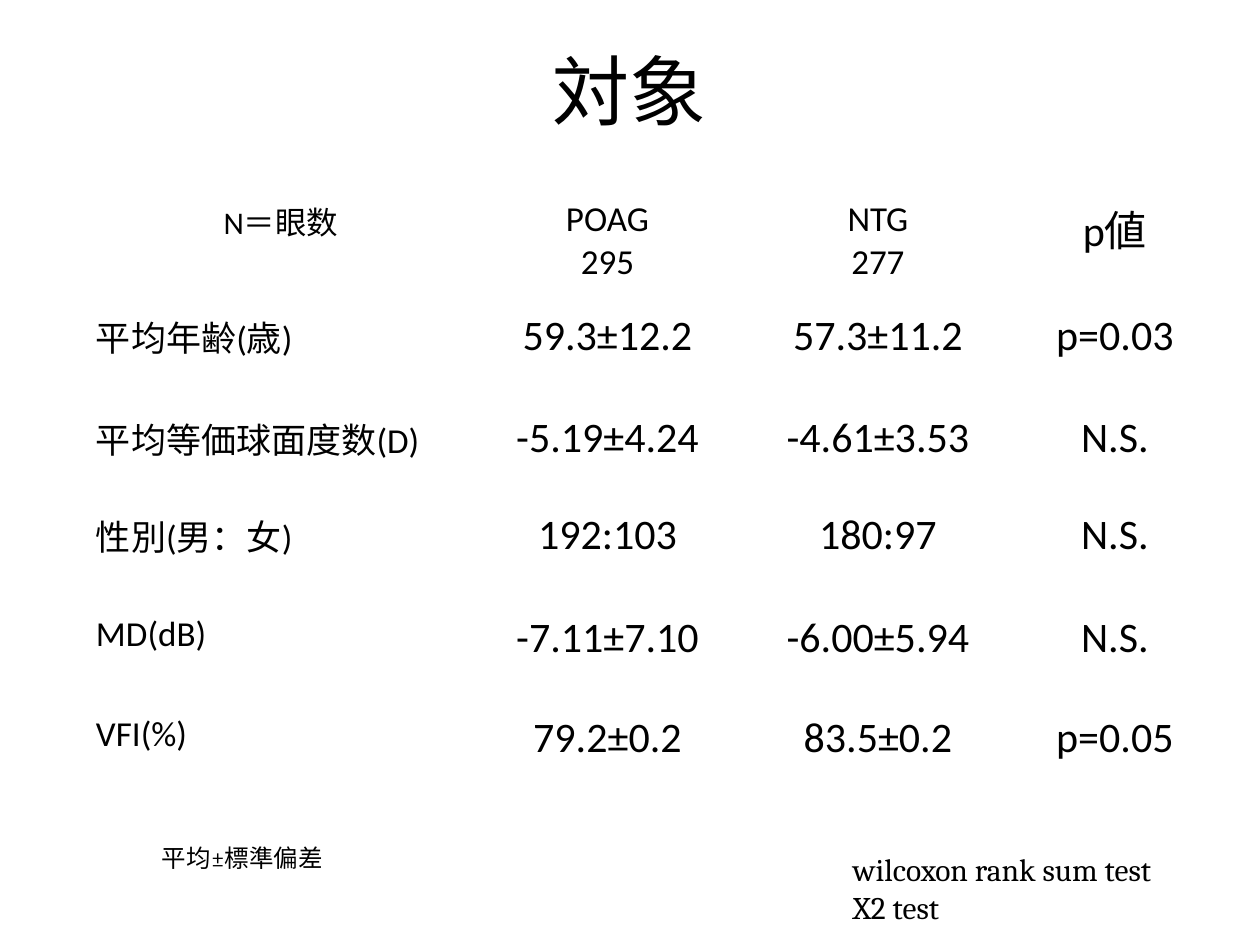
from pptx import Presentation, util as u
from pptx.dml.color import RGBColor
from pptx.enum import text

PX_PER_INCH = 126
BLACK = "000000"
CENTER, LEFT = text.PP_ALIGN.CENTER, text.PP_ALIGN.LEFT


def px(length):
    return u.Emu(round(length * 914400 / PX_PER_INCH))


def color(hex_value):
    return RGBColor.from_string(hex_value)


class Deck:
    """Holds the text style and the current slide."""

    def __init__(self, width, height, ink=BLACK):
        self.presentation = Presentation()
        self.presentation.slide_width = px(width)
        self.presentation.slide_height = px(height)
        self.ink = ink
        self.slide = self.presentation.slides.add_slide(self.presentation.slide_layouts[6])

    def add_lines(self, frame, lines, size, font, align=LEFT, spacing=None):
        for index, line in enumerate(lines):
            paragraph = frame.add_paragraph() if index else frame.paragraphs[0]
            paragraph.alignment = align
            if spacing:
                paragraph.line_spacing = spacing
            run = paragraph.add_run()
            run.text = line
            run.font.name = font
            run.font.size = u.Pt(size)
            run.font.color.rgb = color(self.ink)

    def label(self, box, lines, size, font, inset=6, anchor=text.MSO_ANCHOR.TOP, **style):
        """Add a text box; inset is its top and bottom margin."""
        frame = self.slide.shapes.add_textbox(*map(px, box)).text_frame
        frame.word_wrap = True
        frame.vertical_anchor = anchor
        frame.margin_left = frame.margin_right = px(13)
        frame.margin_top = frame.margin_bottom = px(inset)
        self.add_lines(frame, lines, size, font, **style)

    def table(self, left, top, widths, heights, rows, size_of, font):
        """Add an unfilled table whose text sizes come from size_of(row, column)."""
        grid = self.slide.shapes.add_table(
            len(heights), len(widths), px(left), px(top),
            px(sum(widths)), px(sum(heights))).table
        grid.first_row = grid.horz_banding = False
        for column, width in zip(grid.columns, widths):
            column.width = px(width)
        for r, (height, row) in enumerate(zip(heights, rows)):
            grid.rows[r].height = px(height)
            for c, content in enumerate(row):
                cell = grid.cell(r, c)
                cell.fill.background()
                cell.margin_left = cell.margin_right = px(9)
                cell.margin_top = cell.margin_bottom = px(13)
                align = LEFT if r and not c else CENTER
                self.add_lines(cell.text_frame, content.split("\n"), size_of(r, c), font, align)


HEADER_SIZES = [18, 20, 20, 24]
SUBJECTS = [
    ["N＝眼数", "POAG\n295", "NTG\n277", "p値"],
    ["平均年齢(歳)", "59.3±12.2", "57.3±11.2", "p=0.03"],
    ["平均等価球面度数(D)", "-5.19±4.24", "-4.61±3.53", "N.S."],
    ["性別(男：女)", "192:103", "180:97", "N.S."],
    ["MD(dB)", "-7.11±7.10", "-6.00±5.94", "N.S."],
    ["VFI(%)", "79.2±0.2", "83.5±0.2", "p=0.05"],
]


def subject_size(row, column):
    if row == 0:
        return HEADER_SIZES[column]
    return 24 if column else 20


def main():
    deck = Deck(1260, 945)
    deck.table(87, 185, [388, 265, 276, 198], [113, 102, 97, 103, 100, 91],
               SUBJECTS, subject_size, "Calibri")
    deck.label((840, 837, 408, 72), ["wilcoxon rank sum test", "X2 test"],
               18, "Cambria", inset=13)
    deck.label((149, 837, 263, 50), ["平均±標準偏差"], 14, "Cambria")
    deck.label((87, 4, 1086, 183), ["対象"], 44, "Calibri",
               anchor=text.MSO_ANCHOR.MIDDLE, align=CENTER, spacing=0.9)
    deck.presentation.save("out.pptx")


if __name__ == "__main__":
    main()
